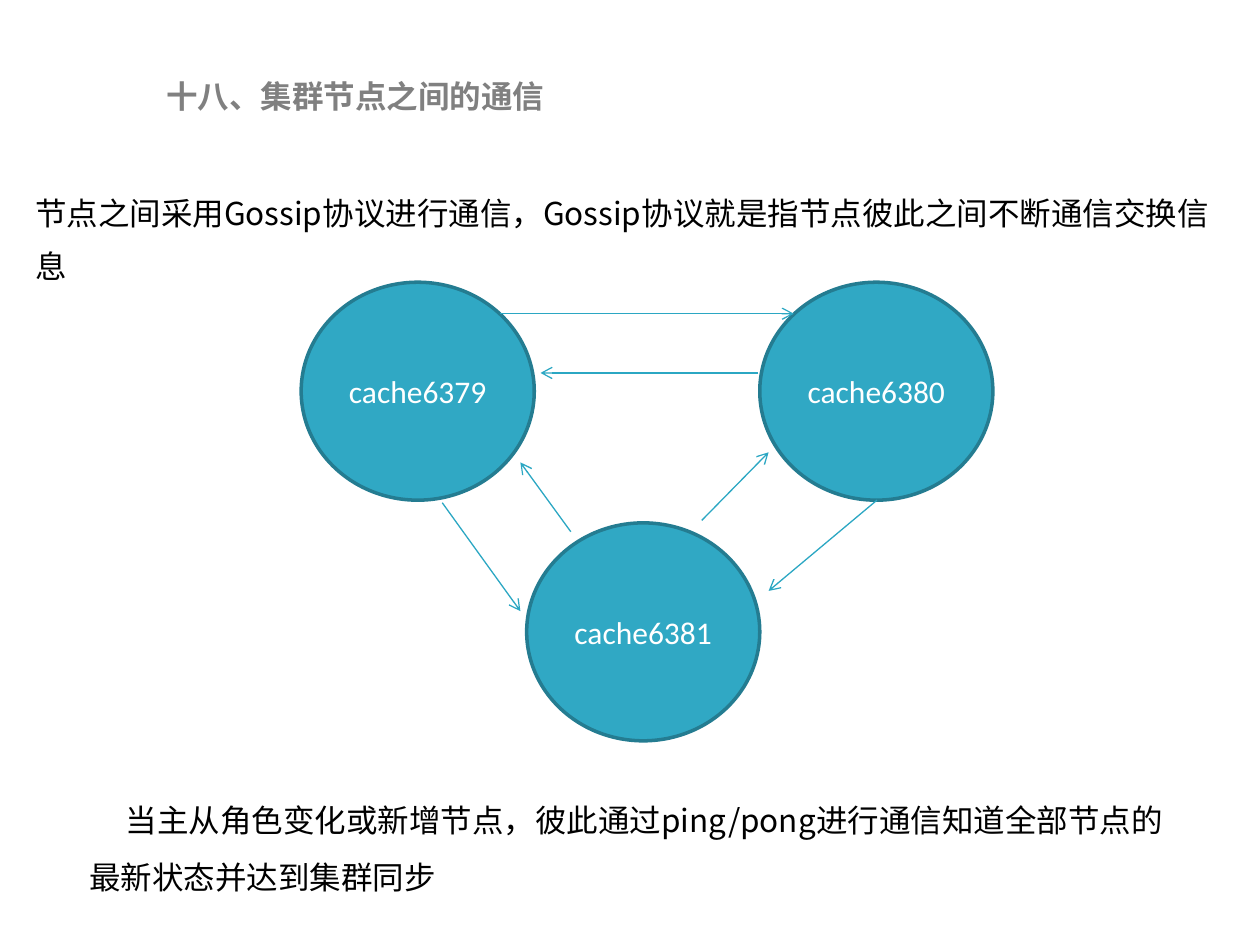
from dataclasses import dataclass, field
from typing import Any

from lxml import etree
from pptx import Presentation
from pptx import util as u
from pptx.dml.color import RGBColor
from pptx.enum import shapes, text
from pptx.oxml.ns import qn

COLUMNS, ROWS = 100, 75


@dataclass(frozen=True)
class Theme:
    heading: str = "808080"
    body: str = "000000"
    node_fill: str = "30A8C4"
    node_edge: str = "247C91"
    node_label: str = "FFFFFF"
    message: str = "2BA7C3"
    chinese_font: str = "Noto Sans CJK SC"
    latin_font: str = "Calibri"
    size: float = 18
    edge_width: float = 2
    message_width: float = 0.75


@dataclass(frozen=True)
class Passage:
    words: str
    column: float
    row: float
    columns: float
    rows: float
    color: str
    bold: bool = False
    wrap: bool = True
    indent: float = 0
    paragraph_format: dict[str, Any] = field(default_factory=dict)


@dataclass(frozen=True)
class Node:
    port: int
    column: float
    row: float


@dataclass(frozen=True)
class Message:
    start: tuple[float, float]
    end: tuple[float, float]


theme = Theme()
NODE_COLUMNS, NODE_ROWS = 18.5, 17.3

passages = [
    Passage("十八、集群节点之间的通信", 12.2, 5.6, 32, 4, theme.heading, bold=True, wrap=False),
    Passage("节点之间采用Gossip协议进行通信，Gossip协议就是指节点彼此之间不断通信交换信息",
            1.8, 13.7, 97.2, 5.2, theme.body, paragraph_format={"line_spacing": 1.4}),
    Passage("当主从角色变化或新增节点，彼此通过ping/pong进行通信知道全部节点的最新状态并达到集群同步",
            6.1, 61.6, 88.5, 10.1, theme.body, indent=2.9,
            paragraph_format={"line_spacing": 1.5}),
]
nodes = [Node(6379, 23.9, 22.4), Node(6380, 60.3, 22.4), Node(6381, 41.8, 41.5)]
messages = [
    Message((39.7, 24.9), (63, 24.9)),
    Message((60.2, 29.6), (42.9, 29.6)),
    Message((35.1, 39.9), (41.3, 48.5)),
    Message((45.3, 42.2), (41.3, 36.7)),
    Message((55.7, 41.3), (61, 35.9)),
    Message((69.6, 39.7), (61, 46.9)),
]

deck = Presentation()
deck.slide_width, deck.slide_height = u.Inches(10), u.Inches(7.5)
slide = deck.slides.add_slide(deck.slide_layouts[6])


def across(columns: float) -> int:
    return round(deck.slide_width * columns / COLUMNS)


def down(rows: float) -> int:
    return round(deck.slide_height * rows / ROWS)


def apply(target: Any, values: dict[str, Any]) -> None:
    for attribute, value in values.items():
        setattr(target, attribute, value)


def write(paragraph: Any, words: str, font: str, color: str, bold: bool = False) -> None:
    run = paragraph.add_run()
    run.text = words
    apply(run.font, {"name": font, "size": u.Pt(theme.size), "bold": bold})
    run.font.color.rgb = RGBColor.from_string(color)
    etree.SubElement(run.font._element, qn("a:ea"), typeface=font)


def draw_passage(passage: Passage) -> None:
    box = slide.shapes.add_textbox(across(passage.column), down(passage.row),
                                   across(passage.columns), down(passage.rows))
    apply(box.text_frame, {"word_wrap": passage.wrap,
                           "auto_size": text.MSO_AUTO_SIZE.SHAPE_TO_FIT_TEXT})
    paragraph = box.text_frame.paragraphs[0]
    apply(paragraph, passage.paragraph_format)
    if passage.indent:
        paragraph._p.get_or_add_pPr().set("indent", str(across(passage.indent)))
    write(paragraph, passage.words, theme.chinese_font, passage.color, passage.bold)


def draw_node(node: Node) -> None:
    circle = slide.shapes.add_shape(shapes.MSO_SHAPE.OVAL, across(node.column), down(node.row),
                                    across(NODE_COLUMNS), down(NODE_ROWS))
    circle.shadow.inherit = False
    circle.fill.solid()
    circle.fill.fore_color.rgb = RGBColor.from_string(theme.node_fill)
    circle.line.color.rgb = RGBColor.from_string(theme.node_edge)
    circle.line.width = u.Pt(theme.edge_width)
    circle.text_frame.vertical_anchor = text.MSO_ANCHOR.MIDDLE
    label = circle.text_frame.paragraphs[0]
    label.alignment = text.PP_ALIGN.CENTER
    write(label, f"cache{node.port}", theme.latin_font, theme.node_label)


def draw_message(message: Message) -> None:
    arrow = slide.shapes.add_connector(
        shapes.MSO_CONNECTOR.STRAIGHT, across(message.start[0]), down(message.start[1]),
        across(message.end[0]), down(message.end[1]))
    arrow.line.color.rgb = RGBColor.from_string(theme.message)
    arrow.line.width = u.Pt(theme.message_width)
    etree.SubElement(arrow.line._get_or_add_ln(), qn("a:tailEnd"), type="arrow")
    etree.SubElement(arrow._element.spPr, qn("a:effectLst"))


heading, introduction, conclusion = passages
draw_passage(heading)
draw_passage(introduction)
for node in nodes:
    draw_node(node)
for message in messages:
    draw_message(message)
draw_passage(conclusion)

deck.save("out.pptx")
